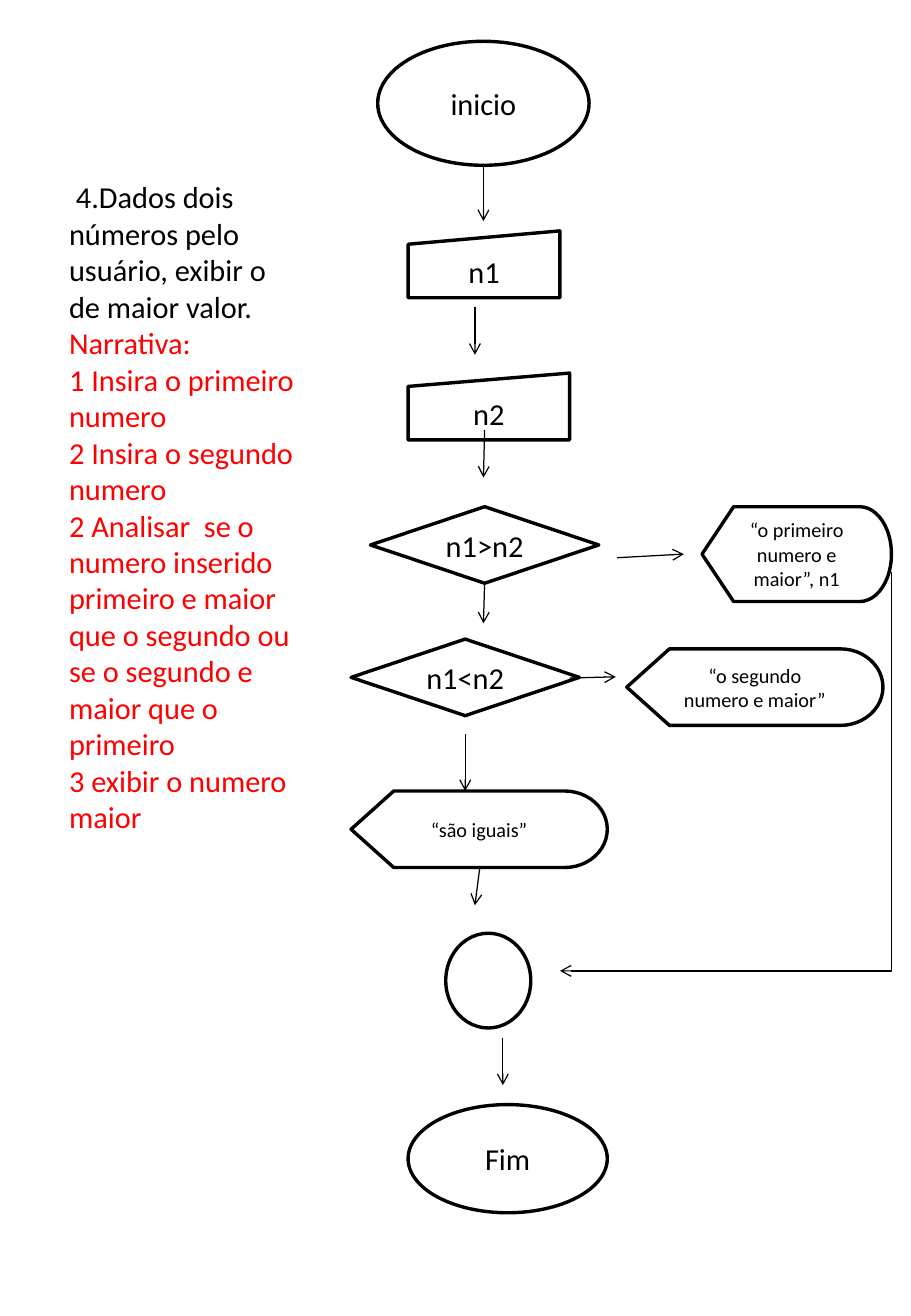
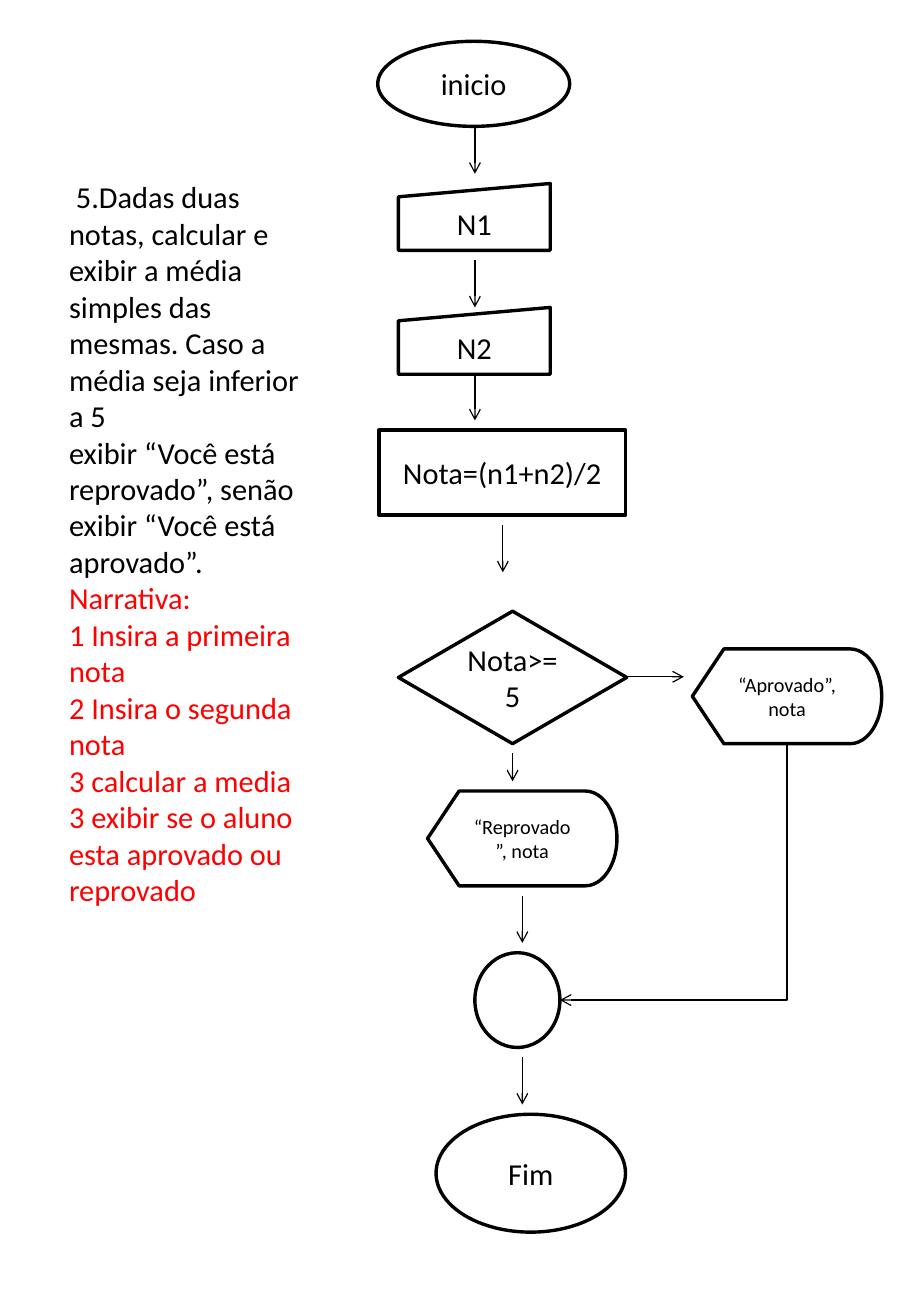
from typing import NamedTuple

from lxml.etree import SubElement
from pptx import Presentation
from pptx.dml.color import RGBColor
from pptx.enum.shapes import MSO_CONNECTOR, MSO_SHAPE
from pptx.enum.text import MSO_ANCHOR, PP_ALIGN
from pptx.oxml.ns import qn
from pptx.util import Inches, Pt

FONT = "Calibri"
BLACK, WHITE, RED = "000000", "FFFFFF", "FF0000"
BODY_SIZE, DISPLAY_SIZE = 18, 12
NODE_LINE, ARROW_LINE = 2, 0.75

TERMINAL = MSO_SHAPE.OVAL
INPUT = MSO_SHAPE.FLOWCHART_MANUAL_INPUT
PROCESS = MSO_SHAPE.FLOWCHART_PROCESS
DECISION = MSO_SHAPE.FLOWCHART_DECISION
DISPLAY = MSO_SHAPE.FLOWCHART_DISPLAY
JUNCTION = MSO_SHAPE.FLOWCHART_CONNECTOR


class Node(NamedTuple):
    kind: MSO_SHAPE
    left: float
    top: float
    width: float
    height: float
    label: str = ""


class Arrow(NamedTuple):
    x1: float
    y1: float
    x2: float
    y2: float


class Exercise(NamedTuple):
    """Each statement paragraph is a list of (text, colour) runs."""
    statement: list
    statement_height: float
    nodes: list
    arrows: list
    return_arrow: Arrow


def rgb(colour: str) -> RGBColor:
    return RGBColor.from_string(colour)


def style_run(run, size: float, colour: str) -> None:
    run.font.name = FONT
    run.font.size = Pt(size)
    run.font.color.rgb = rgb(colour)


def draw_node(slide, node: Node) -> None:
    shape = slide.shapes.add_shape(node.kind, *map(Inches, node[1:5]))
    shape.shadow.inherit = False
    shape.fill.solid()
    shape.fill.fore_color.rgb = rgb(WHITE)
    shape.line.color.rgb = rgb(BLACK)
    shape.line.width = Pt(NODE_LINE)
    if node.label:
        frame = shape.text_frame
        frame.text = node.label
        frame.vertical_anchor = MSO_ANCHOR.MIDDLE
        paragraph = frame.paragraphs[0]
        paragraph.alignment = PP_ALIGN.CENTER
        size = DISPLAY_SIZE if node.kind == DISPLAY else BODY_SIZE
        style_run(paragraph.runs[0], size, BLACK)


def draw_arrow(slide, arrow: Arrow, route=MSO_CONNECTOR.STRAIGHT):
    connector = slide.shapes.add_connector(route, *map(Inches, arrow))
    connector.line.color.rgb = rgb(BLACK)
    connector.line.width = Pt(ARROW_LINE)
    properties = connector._element.spPr
    SubElement(properties.find(qn("a:ln")), qn("a:tailEnd"), type="arrow")
    SubElement(properties, qn("a:effectLst"))
    return connector


def draw_return_arrow(slide, arrow: Arrow) -> None:
    """Run down and then left: a one-bend connector turned by 90 degrees."""
    across, down = arrow.x1 - arrow.x2, arrow.y2 - arrow.y1
    left = (arrow.x1 + arrow.x2 - down) / 2
    top = (arrow.y1 + arrow.y2 - across) / 2
    unturned = Arrow(left, top, left + down, top + across)
    connector = draw_arrow(slide, unturned, MSO_CONNECTOR.ELBOW)
    properties = connector._element.spPr
    properties.find(qn("a:xfrm")).set("rot", str(90 * 60000))
    properties.find(qn("a:prstGeom")).set("prst", "bentConnector2")


def draw_statement(slide, paragraphs: list, height: float) -> None:
    box = slide.shapes.add_textbox(*map(Inches, (0.47, 1.42, 2.11, height)))
    frame = box.text_frame
    frame.word_wrap = True
    for index, runs in enumerate(paragraphs):
        paragraph = frame.add_paragraph() if index else frame.paragraphs[0]
        for text, colour in runs:
            run = paragraph.add_run()
            run.text = text
            style_run(run, BODY_SIZE, colour)


def draw_exercise(presentation, exercise: Exercise) -> None:
    slide = presentation.slides.add_slide(presentation.slide_layouts[6])
    draw_statement(slide, exercise.statement, exercise.statement_height)
    for node in exercise.nodes:
        draw_node(slide, node)
    for arrow in exercise.arrows:
        draw_arrow(slide, arrow)
    draw_return_arrow(slide, exercise.return_arrow)


LARGER_NUMBER = Exercise(
    statement=[
        [(" 4.Dados dois números pelo usuário, exibir o de maior valor. ", BLACK),
         ("Narrativa:", RED)],
        [("1 Insira o primeiro numero", RED)],
        [("2 Insira o segundo numero", RED)],
        [("2 Analisar  se o numero inserido primeiro e maior que o segundo "
          "ou se o segundo e maior que o primeiro", RED)],
        [("3 exibir o numero maior", RED)],
    ],
    statement_height=5.55,
    nodes=[
        Node(TERMINAL, 3.11, 0.34, 1.74, 1.02, "inicio"),
        Node(INPUT, 3.36, 1.9, 1.25, 0.55, "n1"),
        Node(INPUT, 3.36, 3.07, 1.33, 0.55, "n2"),
        Node(DECISION, 3.05, 4.17, 1.88, 0.63, "n1>n2"),
        Node(DISPLAY, 5.78, 4.17, 1.56, 0.78, "“o primeiro numero e maior”, n1"),
        Node(DECISION, 2.89, 5.26, 1.88, 0.63, "n1<n2"),
        Node(DISPLAY, 5.16, 5.34, 2.11, 0.63, "“o segundo numero e maior”"),
        Node(DISPLAY, 2.89, 6.51, 2.11, 0.63, "“são iguais”"),
        Node(JUNCTION, 3.67, 7.68, 0.7, 0.78),
        Node(TERMINAL, 3.36, 9.09, 1.64, 0.89, "Fim"),
    ],
    arrows=[
        Arrow(3.98, 1.35, 3.98, 1.82),
        Arrow(3.91, 2.53, 3.91, 2.92),
        Arrow(3.99, 3.54, 3.98, 3.93),
        Arrow(5.08, 4.59, 5.63, 4.56),
        Arrow(3.99, 4.79, 3.98, 5.13),
        Arrow(4.69, 5.58, 5.07, 5.57),
        Arrow(3.83, 6.04, 3.83, 6.51),
        Arrow(3.95, 7.14, 3.91, 7.45),
        Arrow(4.14, 8.54, 4.14, 8.93),
    ],
    return_arrow=Arrow(7.34, 4.71, 4.61, 7.99),
)

AVERAGE_GRADE = Exercise(
    statement=[
        [(" 5.Dadas duas notas, calcular e exibir a média simples das mesmas. "
          "Caso a média seja inferior a 5", BLACK)],
        [("exibir “Você está reprovado”, senão exibir “Você está aprovado”. ", BLACK),
         ("Narrativa:", RED)],
        [("1 Insira a primeira nota", RED)],
        [("2 Insira o segunda nota", RED)],
        [("3 calcular a media", RED)],
        [("3 exibir se o aluno esta aprovado ou reprovado", RED)],
    ],
    statement_height=6.16,
    nodes=[
        Node(TERMINAL, 3.11, 0.34, 1.58, 0.7, "inicio"),
        Node(INPUT, 3.28, 1.51, 1.25, 0.55, "N1"),
        Node(INPUT, 3.28, 2.53, 1.25, 0.55, "N2"),
        Node(PROCESS, 3.12, 3.54, 2.03, 0.7, "Nota=(n1+n2)/2"),
        Node(DECISION, 3.28, 5.03, 1.88, 1.09, "Nota>=5"),
        Node(DISPLAY, 5.7, 5.34, 1.56, 0.78, "“Aprovado”, nota"),
        Node(DISPLAY, 3.52, 6.51, 1.56, 0.78, "“Reprovado”, nota"),
        Node(JUNCTION, 3.91, 7.84, 0.7, 0.78),
        Node(TERMINAL, 3.59, 9.17, 1.56, 0.97, "Fim"),
    ],
    arrows=[
        Arrow(3.91, 1.04, 3.91, 1.43),
        Arrow(3.91, 2.14, 3.91, 2.53),
        Arrow(3.91, 3.07, 3.91, 3.46),
        Arrow(4.14, 4.32, 4.14, 4.71),
        Arrow(5.16, 5.57, 5.63, 5.57),
        Arrow(4.22, 6.2, 4.22, 6.43),
        Arrow(4.3, 7.37, 4.3, 7.76),
        Arrow(4.3, 8.7, 4.3, 9.09),
    ],
    return_arrow=Arrow(6.48, 6.12, 4.61, 8.23),
)


def main() -> None:
    presentation = Presentation()
    presentation.slide_width = Inches(7.5)
    presentation.slide_height = Inches(10.83)
    for exercise in (LARGER_NUMBER, AVERAGE_GRADE):
        draw_exercise(presentation, exercise)
    presentation.save("out.pptx")


if __name__ == "__main__":
    main()
